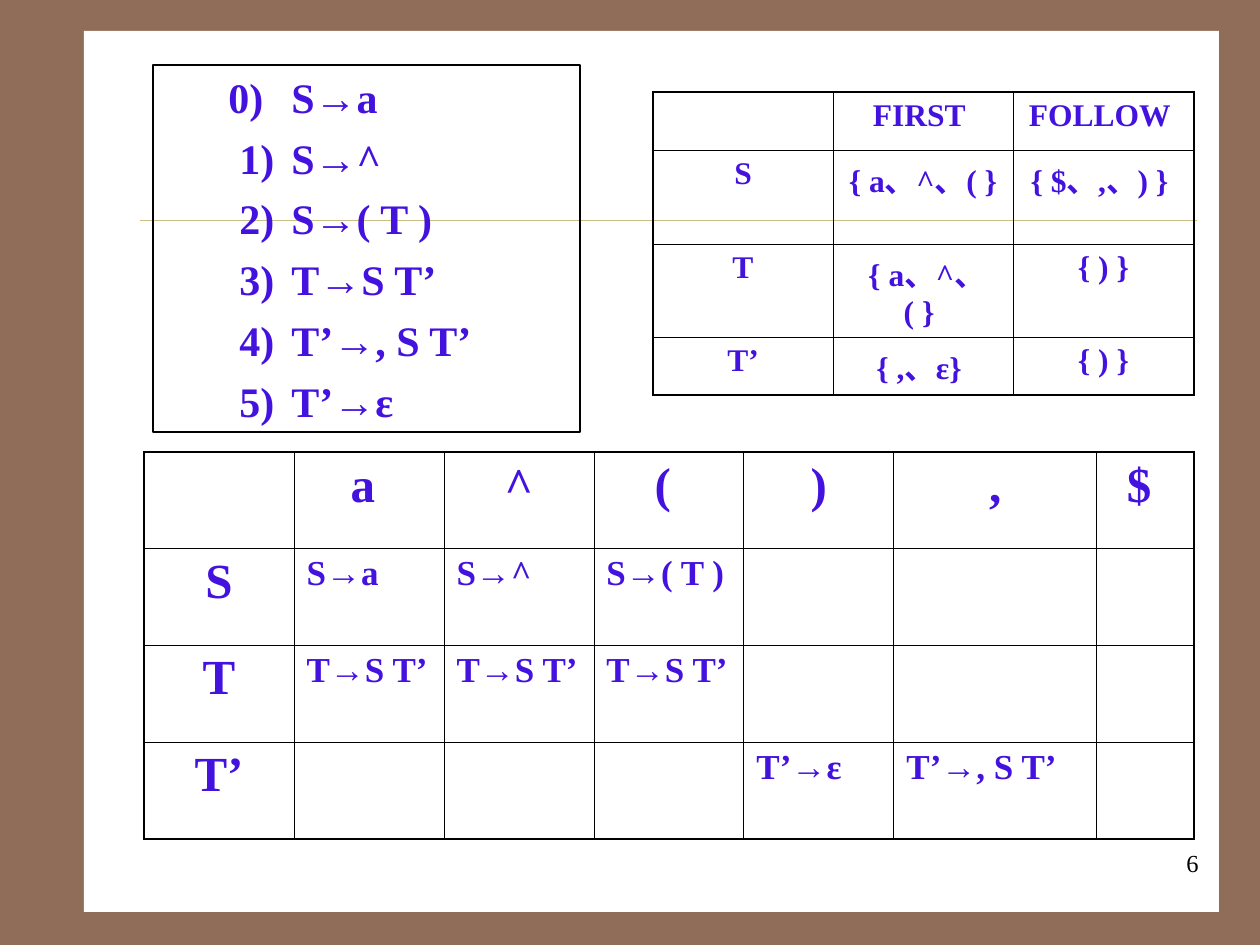
from pptx import Presentation, util as u
from pptx.dml.color import RGBColor
from pptx.enum import shapes, text
from pptx.oxml import parse_xml
from pptx.oxml.ns import nsdecls

LEFT, MID, RIGHT = text.PP_ALIGN.LEFT, text.PP_ALIGN.CENTER, text.PP_ALIGN.RIGHT


def px(n):
    return u.Emu(round(n * 914400 / 126))


def rgb(code):
    return RGBColor.from_string(code)


class Deck:
    """Style and current slide, with one method per kind of element."""

    face, ink, black = "Times New Roman", "4312DE", "000000"
    outer, inner = 1.08, 0.45

    def __init__(self, back):
        self.prs = Presentation()
        self.prs.slide_width, self.prs.slide_height = px(1260), px(945)
        self.slide = self.prs.slides.add_slide(self.prs.slide_layouts[6])
        fill = self.slide.background.fill
        fill.solid()
        fill.fore_color.rgb = rgb(back)

    def style(self, para, size, align=LEFT, color=ink, bold=True):
        para.alignment = align
        for run in para.runs:
            font = run.font
            font.name, font.size, font.bold = self.face, u.Pt(size), bold
            font.color.rgb = rgb(color)

    def rect(self, box, fill=None, line=None):
        shape = self.slide.shapes.add_shape(shapes.MSO_SHAPE.RECTANGLE, *map(px, box))
        shape.shadow.inherit = False
        if fill:
            shape.fill.solid()
            shape.fill.fore_color.rgb = rgb(fill)
        else:
            shape.fill.background()
        if line:
            shape.line.color.rgb = rgb(line)
            shape.line.width = u.Pt(0.75)
        else:
            shape.line.fill.background()
        return shape

    def rule(self, x, y, end, color):
        line = self.slide.shapes.add_connector(
            shapes.MSO_CONNECTOR.STRAIGHT, px(x), px(y), px(end), px(y))
        line.line.color.rgb = rgb(color)
        line.line.width = u.Pt(0.25)
        line._element.spPr.append(parse_xml(f"<a:effectLst {nsdecls('a')}/>"))

    def label(self, box, words, size):
        frame = self.slide.shapes.add_textbox(*map(px, box)).text_frame
        frame.word_wrap = True
        frame.text = words
        self.style(frame.paragraphs[0], size, RIGHT, self.black, False)

    def rules(self, box, items, size):
        frame = self.rect(box, line=self.black).text_frame
        frame.word_wrap = True
        frame.vertical_anchor = text.MSO_ANCHOR.TOP
        for i, item in enumerate(items):
            para = frame.add_paragraph() if i else frame.paragraphs[0]
            para.text = f"{i})\t{item}"
            start = 74 if i else 63
            props = para._p.get_or_add_pPr()
            props.set("marL", "0")
            props.set("indent", str(px(start)))
            props.append(parse_xml(
                f'<a:tabLst {nsdecls("a")}><a:tab pos="{px(start + 67)}" algn="l"/></a:tabLst>'))
            self.style(para, size)
            if i:
                para.space_before = u.Pt(6)

    def edge(self, cell, side, width):
        cell._tc.get_or_add_tcPr().append(parse_xml(
            f'<a:ln{side} {nsdecls("a")} w="{u.Pt(width)}"><a:solidFill>'
            f'<a:srgbClr val="{self.black}"/></a:solidFill></a:ln{side}>'))

    def table(self, x, y, cols, rows, cells, look):
        wide, high = len(cols), len(rows)
        grid = self.slide.shapes.add_table(
            high, wide, px(x), px(y), px(sum(cols)), px(sum(rows))).table
        grid.first_row = grid.horz_banding = False
        for col, size in zip(grid.columns, cols):
            col.width = px(size)
        for r, line in enumerate(cells):
            grid.rows[r].height = px(rows[r])
            for c, words in enumerate(line):
                cell = grid.cell(r, c)
                sides = {"L": c == 0, "R": c == wide - 1, "T": r == 0, "B": r == high - 1}
                for side, out in sides.items():
                    self.edge(cell, side, self.outer if out else self.inner)
                cell.fill.background()
                if words:
                    cell.text = words
                    self.style(cell.text_frame.paragraphs[0], *look(r, c))


def main():
    deck = Deck("906D58")
    deck.rect((84, 31, 1135, 881), fill="FFFFFF")
    deck.rule(140, 220, 1197, "CBBD83")
    deck.label((949, 842, 262, 63), "6", 14)
    deck.table(
        144, 452, [150] * 5 + [203, 97], [96, 97, 97, 97],
        [["", "a ", " ^ ", "( ", " ) ", " , ", "$ "],
         ["S", "S→a", "S→^", "S→( T )", "", "", ""],
         ["T"] + ["T→S T’"] * 3 + [""] * 3,
         ["T’", "", "", "", "T’→ε", "T’→, S T’", ""]],
        lambda r, c: (20, LEFT) if r and c else (28, MID))
    deck.rules(
        (153, 65, 427, 367),
        ["S→a", "S→^", "S→( T )", "T→S T’", "T’→, S T’", "T’→ε"], 24)
    deck.table(
        653, 92, [180, 180, 181], [58, 94, 93, 58],
        [["", "FIRST ", "FOLLOW "],
         ["S", "{ a、^、( } ", "{ $、,、) } "],
         ["T", " { a、^、( } ", " { ) } "],
         ["T’", "{ ,、ε} ", " { ) } "]],
        lambda r, c: (18, MID))
    deck.prs.save("out.pptx")


if __name__ == "__main__":
    main()
